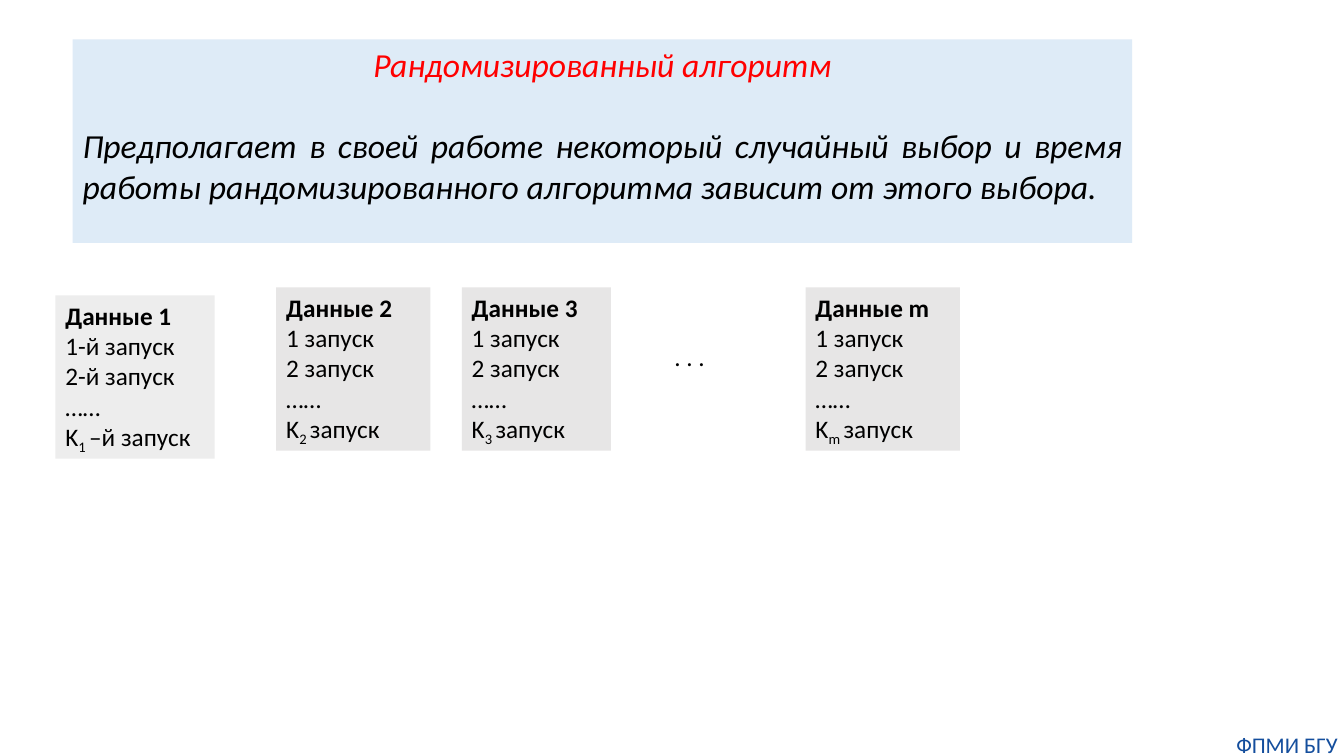
from pptx import Presentation
from pptx import util as u
from pptx.dml.color import RGBColor
from pptx.enum import shapes, text


def rgb(value):
    return RGBColor.from_string(value)


class Deck:
    font = "Calibri"
    black = "000000"

    def __init__(self, prs):
        self.slide = prs.slides.add_slide(prs.slide_layouts[6])

    def panel(self, left, top, width, height, fill):
        sp = self.slide.shapes.add_shape(
            shapes.MSO_SHAPE.RECTANGLE,
            *map(u.Inches, (left, top, width, height)))
        sp.shadow.inherit = False
        sp.fill.solid()
        sp.fill.fore_color.rgb = rgb(fill)
        sp.line.fill.background()
        tf = sp.text_frame
        tf.word_wrap = True
        tf.vertical_anchor = text.MSO_ANCHOR.TOP
        return tf

    def label(self, left, top, width, height, wrap=True, inset=None):
        sp = self.slide.shapes.add_textbox(
            *map(u.Inches, (left, top, width, height)))
        tf = sp.text_frame
        tf.word_wrap = wrap
        if inset is not None:
            tf.margin_left = tf.margin_right = u.Inches(inset)
            tf.margin_top = tf.margin_bottom = u.Inches(inset)
        return tf

    def fill_paragraph(self, p, runs, size=18, color=black, bold=False,
                       italic=False, align=text.PP_ALIGN.LEFT):
        """Style a paragraph and add its runs; every second run is a subscript."""
        p.alignment = align
        f = p.font
        f.name, f.size, f.bold, f.italic = self.font, u.Pt(size), bold, italic
        f.color.rgb = rgb(color)
        for i, words in enumerate(runs):
            r = p.add_run()
            r.text = words
            if i % 2:
                r._r.get_or_add_rPr().set("baseline", "-25000")

    def data_card(self, left, top, width, fill, index, suffix, last):
        tf = self.panel(left, top, width, 1.62, fill)
        lines = [[f"Данные {index}"], [f"1{suffix} запуск"],
                 [f"2{suffix} запуск"], ["……"], ["K", f"{index} ", last]]
        for i, runs in enumerate(lines):
            p = tf.add_paragraph() if i else tf.paragraphs[0]
            self.fill_paragraph(p, runs, bold=i == 0)


def main():
    prs = Presentation()
    prs.slide_width, prs.slide_height = u.Inches(13.33), u.Inches(7.5)
    deck = Deck(prs)

    definition = deck.panel(0.72, 0.39, 10.51, 2.02, "DEEBF7")
    deck.fill_paragraph(definition.paragraphs[0],
                        ["Рандомизированный алгоритм"], 24, "FF0000",
                        italic=True, align=text.PP_ALIGN.CENTER)
    p = definition.add_paragraph()
    p.space_before = u.Pt(29)
    deck.fill_paragraph(p, ["Предполагает в своей работе некоторый случайный "
                            "выбор и время работы рандомизированного "
                            "алгоритма зависит от этого выбора."],
                        24, italic=True, align=text.PP_ALIGN.JUSTIFY)

    deck.data_card(0.55, 2.93, 1.58, "EDEDED", "1", "-й", "–й запуск")
    for left, width, index in ((2.74, 1.53, "2"), (4.58, 1.48, "3"),
                               (7.99, 1.53, "m")):
        deck.data_card(left, 2.85, width, "E7E6E6", index, "", "запуск")

    dots = deck.label(6.59, 3.34, 0.51, 0.4, wrap=False)
    deck.fill_paragraph(dots.paragraphs[0], [". . ."])
    footer = deck.label(12.2, 7.25, 1.13, 0.27, inset=0)
    deck.fill_paragraph(footer.paragraphs[0], ["ФПМИ БГУ"], 16, "144E9D",
                        align=text.PP_ALIGN.CENTER)

    prs.save("out.pptx")


if __name__ == "__main__":
    main()
